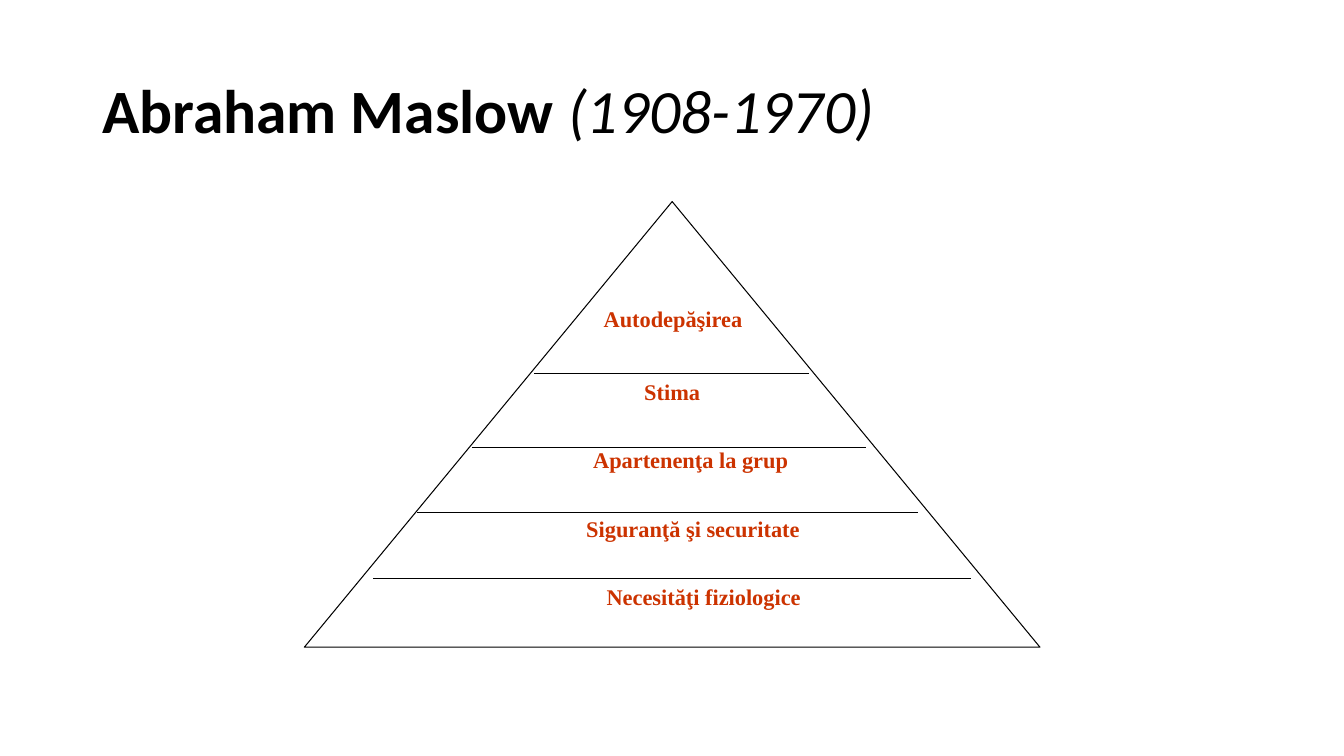
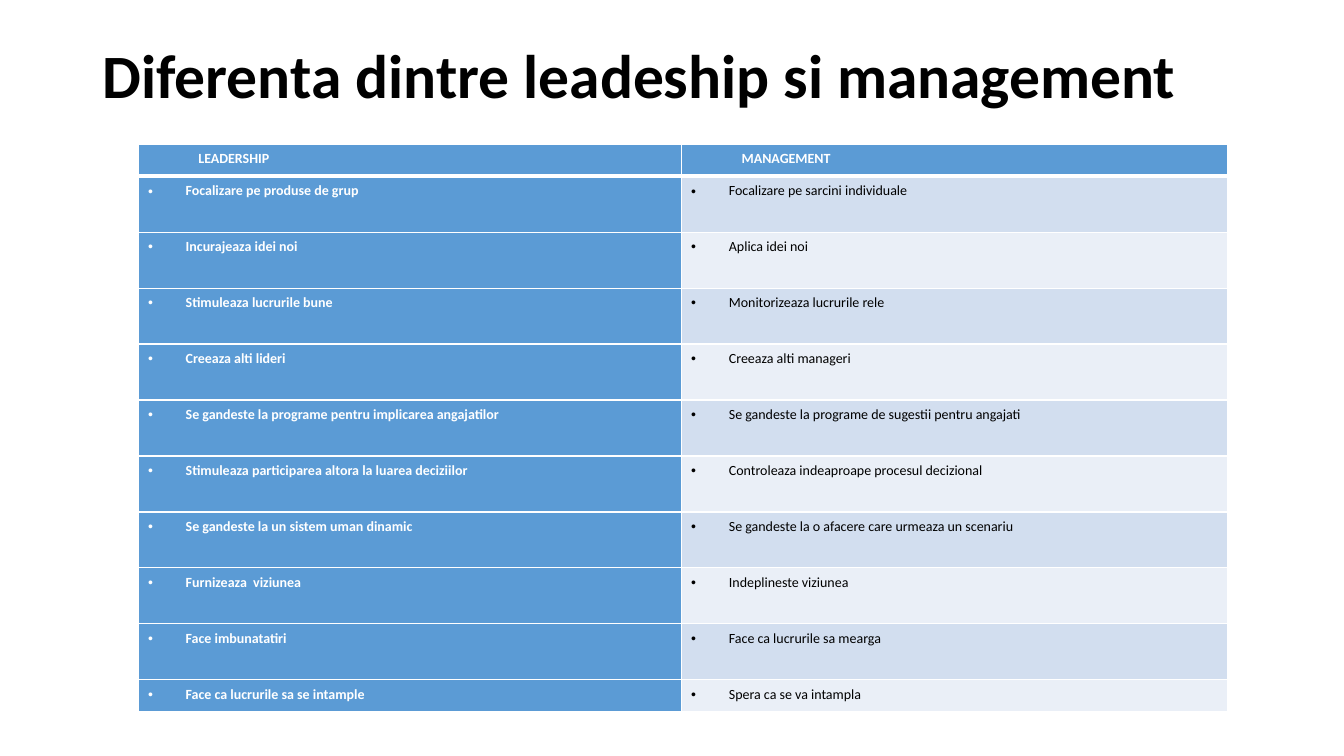
from lxml import etree
from pptx import Presentation
from pptx.dml.color import RGBColor
from pptx.enum.shapes import MSO_CONNECTOR as CONN, MSO_SHAPE as SHAPE
from pptx.enum.text import MSO_ANCHOR as ANCHOR, PP_ALIGN as ALIGN
from pptx.oxml.ns import qn
from pptx.util import Cm, Pt

BLACK, WHITE, RED = "000000", "FFFFFF", "CC3300"
BLUE, BANDS = "5B9BD5", ("D2DEEF", "EAEFF7")
TITLE = {"name": "Calibri", "size": Pt(44), "bold": True}
DATES = {**TITLE, "bold": False, "italic": True}
LABEL = {"name": "Times New Roman", "size": Pt(16), "bold": True}
CELL = {"name": "Calibri", "size": Pt(10)}
LABEL_PARA = {"alignment": ALIGN.CENTER}
CELL_PARA = {"line_spacing": 1.15, "space_after": Pt(10)}
CELL_BOX = {"margin_left": Cm(0.25), "margin_right": Cm(0.25),
            "margin_top": Cm(0.1), "margin_bottom": Cm(0.1)}

LEVELS = [
    ("Necesităţi fiziologice", 14.05, 14.58, 7.37, 1.6),
    ("Siguranţă şi securitate", 14.05, 12.85, 6.83, 1.73),
    ("Apartenenţa la grup", 14.05, 11.13, 6.71, 1.73),
    ("Stima", 15.11, 9.4, 3.66, 1.55),
    ("Autodepăşirea", 14.66, 7.57, 4.6, 1.24),
]
DIVIDERS = [
    (13.46, 20.4, 9.4, 0.75),
    (11.89, 21.82, 11.28, 0.75),
    (10.52, 23.14, 12.9, 0.25),
    (9.4, 24.46, 14.58, 0.25),
]
ROWS = [
    ("LEADERSHIP", "MANAGEMENT"),
    ("Focalizare pe produse de grup", "Focalizare pe sarcini individuale"),
    ("Incurajeaza idei noi", "Aplica idei noi"),
    ("Stimuleaza lucrurile bune", "Monitorizeaza lucrurile rele"),
    ("Creeaza alti lideri", "Creeaza alti manageri"),
    ("Se gandeste la programe pentru implicarea angajatilor",
     "Se gandeste la programe de sugestii pentru angajati"),
    ("Stimuleaza participarea altora la luarea deciziilor",
     "Controleaza indeaproape procesul decizional"),
    ("Se gandeste la un sistem uman dinamic",
     "Se gandeste la o afacere care urmeaza un scenariu"),
    ("Furnizeaza  viziunea", "Indeplineste viziunea"),
    ("Face imbunatatiri", "Face ca lucrurile sa mearga"),
    ("Face ca lucrurile sa se intample", "Spera ca se va intampla"),
]


def rgb(value):
    return RGBColor.from_string(value)


def apply(target, values):
    for name, value in values.items():
        setattr(target, name, value)


def paint(fill, color):
    fill.solid()
    fill.fore_color.rgb = rgb(color)


def add_run(p, text, font, color=BLACK):
    r = p.add_run()
    r.text = text
    apply(r.font, font)
    r.font.color.rgb = rgb(color)


def add_title(s, runs, anchor):
    tf = s.shapes.add_textbox(Cm(2.33), Cm(1.01), Cm(29.21), Cm(3.68)).text_frame
    apply(tf, {"word_wrap": True, "vertical_anchor": anchor})
    p = tf.paragraphs[0]
    p.line_spacing = 0.9
    for text, font in runs:
        add_run(p, text, font)


def add_triangle(s, *box):
    sp = s.shapes.add_shape(SHAPE.ISOSCELES_TRIANGLE, *map(Cm, box))
    sp.shadow.inherit = False
    paint(sp.fill, WHITE)
    sp.line.color.rgb = rgb(BLACK)
    sp.line.width = Pt(0.75)


def add_label(s, text, *box):
    tf = s.shapes.add_textbox(*map(Cm, box)).text_frame
    tf.word_wrap = True
    p = tf.paragraphs[0]
    apply(p, LABEL_PARA)
    add_run(p, text, LABEL, RED)


def add_divider(s, left, right, y, width):
    line = s.shapes.add_connector(CONN.STRAIGHT, Cm(left), Cm(y), Cm(right), Cm(y))
    line.line.color.rgb = rgb(BLACK)
    line.line.width = Pt(width)
    etree.SubElement(line._element.spPr, qn("a:effectLst"))


def set_borders(cell, **widths):
    tc_pr = cell._tc.get_or_add_tcPr()
    for side in "LRTB":
        ln = etree.SubElement(tc_pr, qn("a:ln" + side), w=str(Pt(widths.get(side, 1))))
        fill = etree.SubElement(ln, qn("a:solidFill"))
        etree.SubElement(fill, qn("a:srgbClr"), val=WHITE)


def set_indent(p, left, first=0, bullet=None):
    p_pr = p._p.get_or_add_pPr()
    p_pr.set("marL", str(Cm(left)))
    p_pr.set("indent", str(Cm(first)))
    if bullet:
        etree.SubElement(p_pr, qn("a:buFont"), typeface="Arial")
        etree.SubElement(p_pr, qn("a:buChar"), char=bullet)


def fill_cell(cell, text, row, col):
    header = row == 0
    strong = header or col == 0
    apply(cell, CELL_BOX)
    set_borders(cell, **{0: {"B": 3}, 1: {"T": 3}}.get(row, {}))
    paint(cell.fill, BLUE if strong else BANDS[(row - 1) % 2])
    p = cell.text_frame.paragraphs[0]
    apply(p, CELL_PARA)
    if header:
        set_indent(p, 1.27)
    else:
        set_indent(p, 0.95, -0.95, "•")
    add_run(p, text, {**CELL, "bold": strong}, WHITE if strong else BLACK)


def add_comparison(s, rows, left, top, widths, edge_height, row_height):
    heights = [edge_height] + [row_height] * (len(rows) - 2) + [edge_height]
    table = s.shapes.add_table(len(rows), len(widths), Cm(left), Cm(top),
                               Cm(sum(widths)), Cm(sum(heights))).table
    apply(table, {"first_row": False, "horz_banding": False})
    for column, width in zip(table.columns, widths):
        column.width = Cm(width)
    for i, (texts, height) in enumerate(zip(rows, heights)):
        table.rows[i].height = Cm(height)
        for j, text in enumerate(texts):
            fill_cell(table.cell(i, j), text, i, j)


def main():
    prs = Presentation()
    prs.slide_width, prs.slide_height = Cm(33.87), Cm(19.05)
    blank = prs.slide_layouts[6]

    s = prs.slides.add_slide(blank)
    add_title(s, [("Abraham Maslow", TITLE), (" (1908-1970)", DATES)], ANCHOR.MIDDLE)
    add_triangle(s, 7.67, 5.08, 18.54, 11.23)
    for level in LEVELS:
        add_label(s, *level)
    for divider in DIVIDERS:
        add_divider(s, *divider)

    s = prs.slides.add_slide(blank)
    add_title(s, [("Diferenta dintre leadeship si management", TITLE)], ANCHOR.TOP)
    add_comparison(s, ROWS, 3.48, 3.63, (13.69, 13.77), 0.81, 1.41)

    prs.save("out.pptx")


if __name__ == "__main__":
    main()
